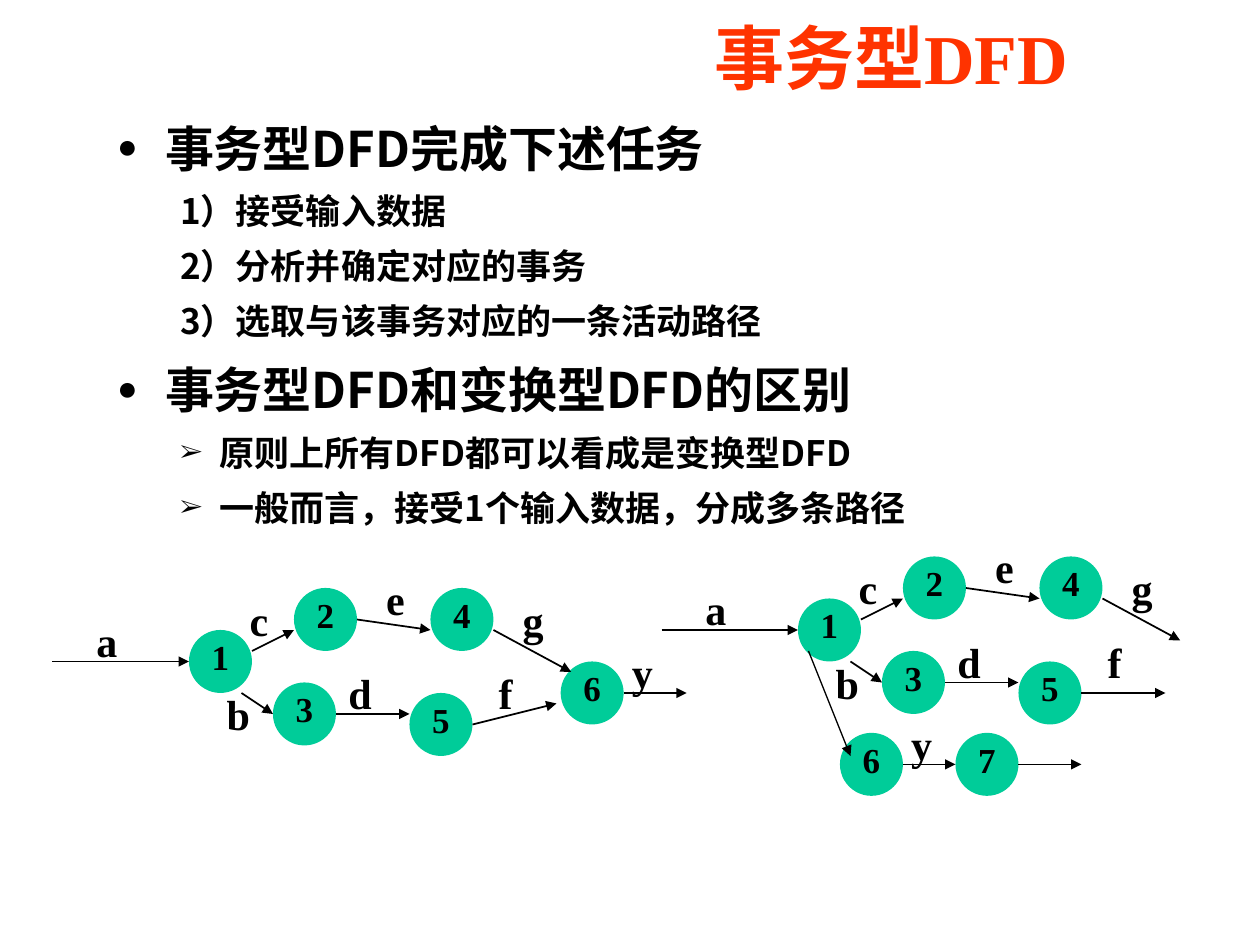
import pptx
import pptx.dml.color
import pptx.enum.shapes
import pptx.enum.text
import pptx.oxml.ns
import pptx.util
from lxml import etree

BLACK = pptx.dml.color.RGBColor(0x00, 0x00, 0x00)
GREEN = pptx.dml.color.RGBColor(0x00, 0xCC, 0x99)
ORANGE = pptx.dml.color.RGBColor(0xFF, 0x33, 0x00)
SERIF = "Times New Roman"
SANS = "Noto Sans CJK SC"
UNIT = pptx.util.Inches(1) // 12  # grid step of both diagrams
NODE = 6  # circle diameter in grid steps
qn = pptx.oxml.ns.qn


def style_text(para, size, color, latin, east_asian=SANS):
    for span in para.runs:
        span.font.size = pptx.util.Pt(size)
        span.font.bold = True
        span.font.color.rgb = color
        span.font.name = latin
        ea = etree.SubElement(span.font._element, qn("a:ea"))
        ea.set("typeface", east_asian)


def add_arrow(shapes, x1, y1, x2, y2, width=1):
    ends = [round(step * UNIT) for step in (x1, y1, x2, y2)]
    arrow = shapes.add_connector(pptx.enum.shapes.MSO_CONNECTOR.STRAIGHT, *ends)
    arrow.line.color.rgb = BLACK
    arrow.line.width = pptx.util.Pt(width)
    etree.SubElement(arrow.line._get_or_add_ln(), qn("a:tailEnd")).set("type", "triangle")
    etree.SubElement(arrow._element.spPr, qn("a:effectLst"))


deck = pptx.Presentation()
deck.slide_width = pptx.util.Inches(10)
deck.slide_height = pptx.util.Inches(7.5)
page = deck.slides.add_slide(deck.slide_layouts[1])
shapes = page.shapes

title = shapes.title
title.left, title.top = pptx.util.Inches(1.96), 0
title.width, title.height = pptx.util.Inches(7.85), pptx.util.Inches(0.9)
title.text_frame.text = "事务型DFD"
title.text_frame.margin_left = pptx.util.Inches(2.48)
title.text_frame.vertical_anchor = pptx.enum.text.MSO_ANCHOR.MIDDLE
title.text_frame.auto_size = pptx.enum.text.MSO_AUTO_SIZE.NONE
title.text_frame.paragraphs[0].alignment = pptx.enum.text.PP_ALIGN.CENTER
style_text(title.text_frame.paragraphs[0], 40, ORANGE, SERIF)

# Outline: level, bullet, text
outline = [
    (0, "●", "事务型DFD完成下述任务"),
    (1, None, "1）接受输入数据"),
    (1, None, "2）分析并确定对应的事务"),
    (1, None, "3）选取与该事务对应的一条活动路径"),
    (0, "●", "事务型DFD和变换型DFD的区别"),
    (1, "➢", "原则上所有DFD都可以看成是变换型DFD"),
    (1, "➢", "一般而言，接受1个输入数据，分成多条路径"),
]
# Per level: left margin, hanging indent, text size, space before
levels = [(0.38, 0.38, 28, 7), (0.81, 0.31, 20, 5)]
body = page.placeholders[1]
body.left, body.top = pptx.util.Inches(0.83), pptx.util.Inches(0.84)
body.width, body.height = pptx.util.Inches(8.82), pptx.util.Inches(5.28)
frame = body.text_frame
frame.auto_size = pptx.enum.text.MSO_AUTO_SIZE.NONE
frame.text = "\n".join(text for _, _, text in outline)
for index, (para, (level, bullet, _)) in enumerate(zip(frame.paragraphs, outline)):
    margin, hanging, size, gap = levels[level]
    para.level = level
    para.line_spacing = 1.1
    para.space_before = pptx.util.Pt(gap if index else 0)
    props = para._p.get_or_add_pPr()
    props.set("marL", str(pptx.util.Inches(margin)))
    props.set("indent", str(-pptx.util.Inches(hanging)))
    if bullet:
        color = etree.SubElement(props, qn("a:buClr"))
        etree.SubElement(color, qn("a:srgbClr")).set("val", str(BLACK))
        etree.SubElement(props, qn("a:buSzPct")).set("val", "70000")
        etree.SubElement(props, qn("a:buFont")).set("typeface", SERIF)
        etree.SubElement(props, qn("a:buChar")).set("char", bullet)
    else:
        etree.SubElement(props, qn("a:buNone"))
    style_text(para, size, BLACK, SANS)

# Both diagrams share these parts, in grid steps; the right one is shifted.
shared_nodes = [("1", 18, 60), ("2", 28, 56), ("3", 26, 65), ("5", 39, 66), ("4", 41, 56)]
shared_arrows = [
    (5, 63, 18, 63), (23, 66, 26, 68), (24, 62, 28, 60),
    (32, 68, 39, 68), (34, 59, 41, 60), (47, 60, 54.4, 64),
]
# Label, left, top, width
shared_labels = [
    ("a", 8, 58, 4.3), ("b", 20.4, 65, 4.6), ("c", 22.6, 56, 4.2), ("d", 32, 63, 4.6),
    ("e", 35.6, 54, 4.2), ("f", 46.3, 63, 3.7), ("g", 48.6, 56, 4.3),
]
# Shift, then the nodes, arrows and labels of one diagram only
diagrams = [
    ((0, 0), [("6", 53.4, 63)],
     [(45, 69, 53, 67), (59.4, 66, 65.4, 66)], [("y", 59, 61, 4.3)]),
    ((58, -3), [("6", 22, 72.8), ("7", 33, 72.8)],
     [(45, 69, 53, 69), (28, 75.8, 33, 75.8), (39, 75.8, 45, 75.8)],
     [("y", 27.6, 70.8, 4.3)]),
]
for (dx, dy), own_nodes, own_arrows, own_labels in diagrams:
    for name, x, y in shared_nodes + own_nodes:
        node = shapes.add_shape(
            pptx.enum.shapes.MSO_SHAPE.OVAL,
            round((x + dx) * UNIT), round((y + dy) * UNIT), NODE * UNIT, NODE * UNIT)
        node.shadow.inherit = False
        node.fill.solid()
        node.fill.fore_color.rgb = GREEN
        node.line.fill.background()
        frame = node.text_frame
        frame.text = name
        frame.word_wrap = False
        frame.margin_left = frame.margin_right = frame.margin_top = 0
        frame.margin_bottom = pptx.util.Inches(0.08)
        frame.vertical_anchor = pptx.enum.text.MSO_ANCHOR.MIDDLE
        frame.paragraphs[0].alignment = pptx.enum.text.PP_ALIGN.CENTER
        style_text(frame.paragraphs[0], 20, BLACK, SERIF, SERIF)

    for x1, y1, x2, y2 in shared_arrows + own_arrows:
        add_arrow(shapes, x1 + dx, y1 + dy, x2 + dx, y2 + dy)

    for name, x, y, width in shared_labels + own_labels:
        box = shapes.add_textbox(
            round((x + dx) * UNIT), round((y + dy) * UNIT), round(width * UNIT), 6 * UNIT)
        box.text_frame.text = name
        box.text_frame.word_wrap = False
        style_text(box.text_frame.paragraphs[0], 24, BLACK, SERIF, SERIF)

add_arrow(shapes, 77, 62, 81, 72, width=0.75)

deck.save("out.pptx")
